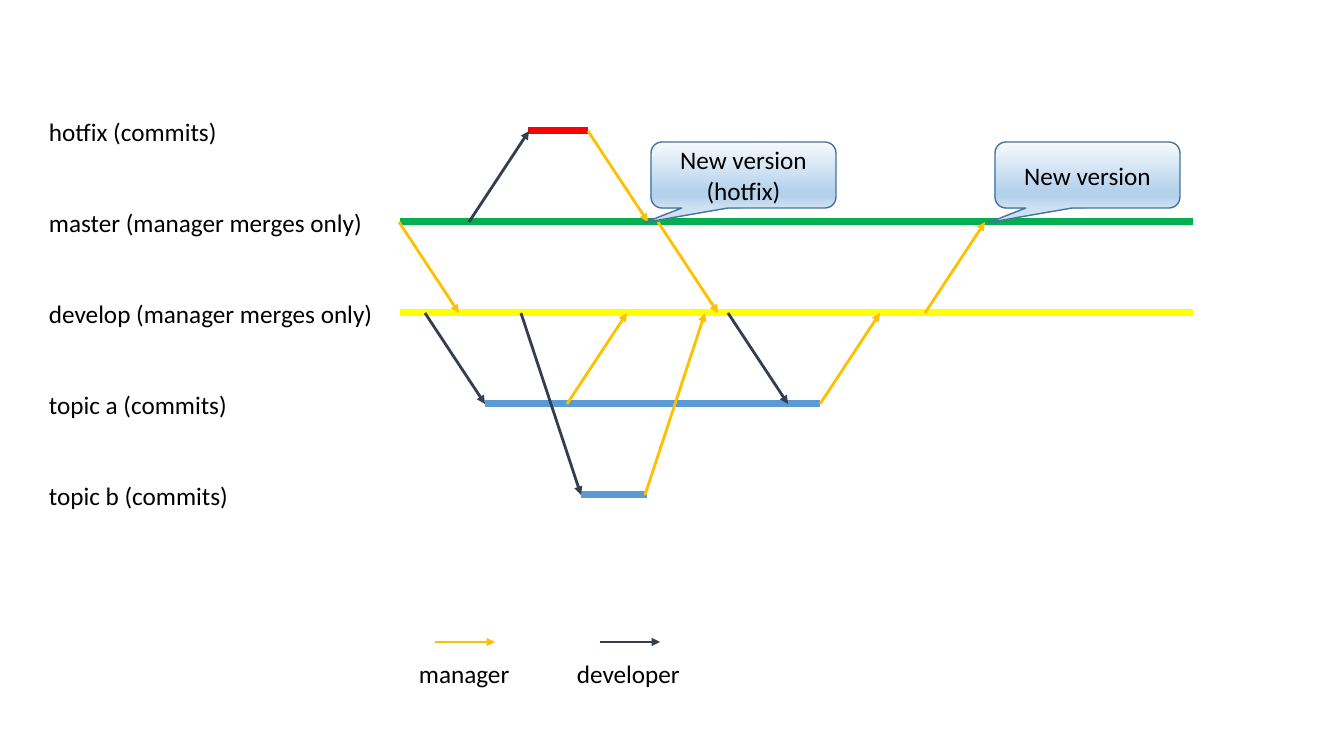
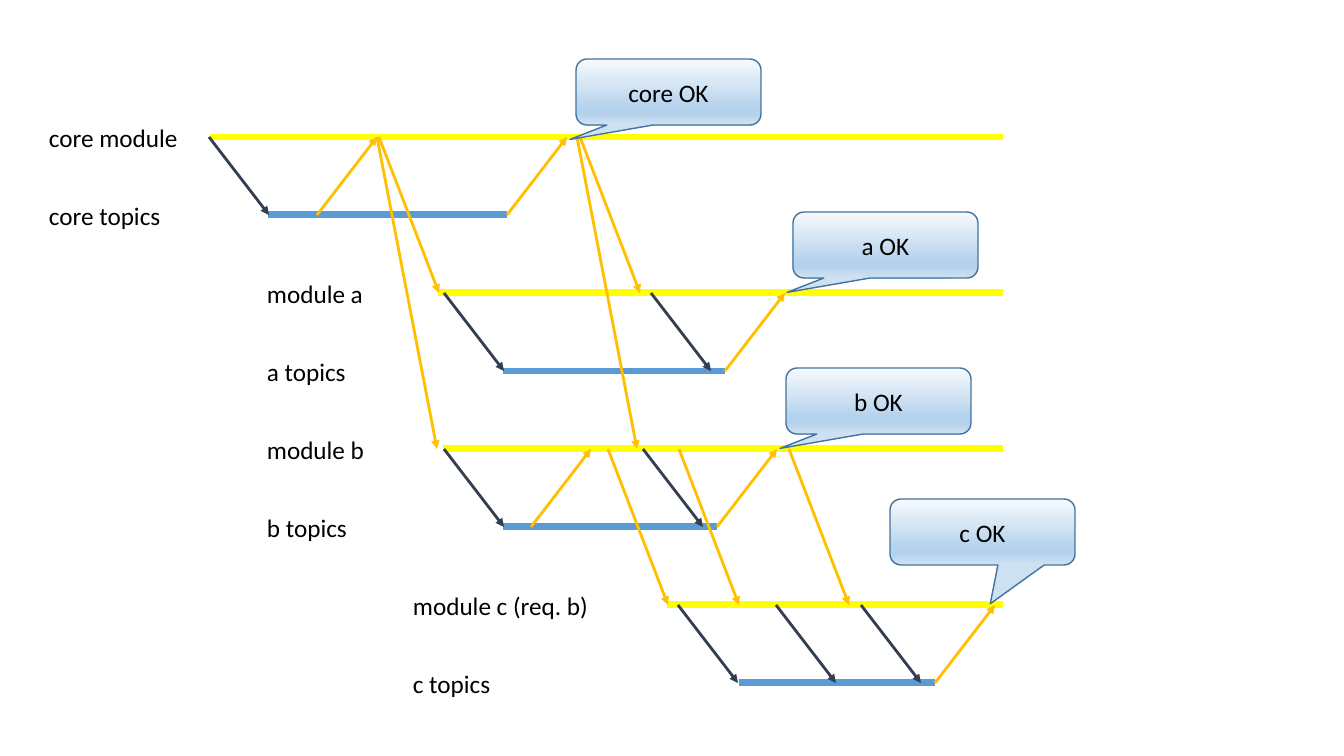
from copy import deepcopy

from pptx import Presentation, util as u
from pptx.dml.color import RGBColor
from pptx.enum import shapes, text
from pptx.oxml import ns, xmlchemy

PIXEL = u.Inches(10) // 1008
ARROW_RUN = 60
LEGEND_Y = 642
CALLOUT_WIDTH, CALLOUT_HEIGHT = 185, 66
LABEL_HEIGHT = 40
TIP_LEFT = (-0.532, 0.718, 0.167)
TIP_BELOW = (0.042, 1.088, 0.167)

GREEN, RED, YELLOW, BLUE = "00B050", "FF0000", "FFFF00", "5B9BD5"
MANAGER, DEVELOPER = "FFC000", "333F50"
TEXT_COLOUR, CALLOUT_LINE = "000000", "43739E"
CALLOUT_STOPS = [(0, "F7FAFD"), (0.74, "B5D2EC"), (0.83, "B5D2EC"), (1, "CEE1F2")]

# rows: label, label left, label width, line start, line end, colour
# arrows: role -> (start x, from row, to row)
# callouts: lines, left, top, tip
# legend: role, arrow left, label, label left, label width
DIAGRAMS = [
    {
        "first_row": 131,
        "row_gap": 91,
        "rows": [
            ("hotfix (commits)", 39, 191, 528, 588, RED),
            ("master (manager merges only)", 39, 337, 400, 1193, GREEN),
            ("develop (manager merges only)", 39, 348, 400, 1193, YELLOW),
            ("topic a (commits)", 39, 201, 485, 820, BLUE),
            ("topic b (commits)", 39, 202, 581, 647, BLUE),
        ],
        "arrows": {
            MANAGER: [(399, 1, 2), (588, 0, 1), (567, 3, 2), (645, 4, 2),
                      (820, 3, 2), (925, 2, 1), (658, 1, 2)],
            DEVELOPER: [(425, 2, 3), (521, 2, 4), (728, 2, 3), (469, 1, 0)],
        },
        "callouts": [
            (["New version", "(hotfix)"], 651, 142, TIP_LEFT),
            (["New version"], 995, 142, TIP_LEFT),
        ],
        "legend": [
            (MANAGER, 435, "manager", 409, 112),
            (DEVELOPER, 600, "developer", 567, 125),
        ],
    },
    {
        "first_row": 137,
        "row_gap": 78,
        "rows": [
            ("core module", 39, 156, 210, 1003, YELLOW),
            ("core topics", 39, 133, 268, 507, BLUE),
            ("module a", 257, 118, 438, 1003, YELLOW),
            ("a topics", 257, 100, 503, 725, BLUE),
            ("module b", 257, 119, 443, 1003, YELLOW),
            ("b topics", 257, 101, 503, 717, BLUE),
            ("module c (req. b)", 403, 198, 667, 1003, YELLOW),
            ("c topics", 403, 99, 739, 935, BLUE),
        ],
        "arrows": {
            MANAGER: [(379, 0, 2), (377, 0, 4), (608, 4, 6), (317, 1, 0),
                      (507, 1, 0), (580, 0, 2), (577, 0, 4), (531, 5, 4),
                      (717, 5, 4), (725, 3, 2), (789, 4, 6), (935, 7, 6),
                      (679, 4, 6)],
            DEVELOPER: [(209, 0, 1), (444, 2, 3), (444, 4, 5), (678, 6, 7),
                        (651, 2, 3), (643, 4, 5), (861, 6, 7), (776, 6, 7)],
        },
        "callouts": [
            (["core OK"], 576, 59, TIP_LEFT),
            (["a OK"], 793, 212, TIP_LEFT),
            (["b OK"], 786, 368, TIP_LEFT),
            (["c OK"], 890, 499, TIP_BELOW),
        ],
        "legend": [],
    },
]


def draw_line(slide, start, end, colour, points, arrow=False):
    """Draw a straight line between two pixel positions."""
    ends = [value * PIXEL for value in (*start, *end)]
    connector = slide.shapes.add_connector(shapes.MSO_CONNECTOR.STRAIGHT, *ends)
    connector.line.color.rgb = RGBColor.from_string(colour)
    connector.line.width = u.Pt(points)
    properties = connector._element.spPr
    properties.append(xmlchemy.OxmlElement("a:effectLst"))
    if arrow:
        head = xmlchemy.OxmlElement("a:tailEnd")
        head.set("type", "triangle")
        properties.find(ns.qn("a:ln")).append(head)


def write_lines(shape, lines, alignment):
    """Write one formatted paragraph for each line of text."""
    frame = shape.text_frame
    for index, line in enumerate(lines):
        paragraph = frame.add_paragraph() if index else frame.paragraphs[0]
        paragraph.alignment = alignment
        run = paragraph.add_run()
        run.text = line
        run.font.name = "Calibri"
        run.font.size = u.Pt(18)
        run.font.color.rgb = RGBColor.from_string(TEXT_COLOUR)


presentation = Presentation()
presentation.slide_width = 1344 * PIXEL
presentation.slide_height = 756 * PIXEL

for diagram in DIAGRAMS:
    slide = presentation.slides.add_slide(presentation.slide_layouts[6])
    row_y = [diagram["first_row"] + index * diagram["row_gap"]
             for index in range(len(diagram["rows"]))]
    labels = []

    for y, (label, left, width, start, end, colour) in zip(row_y, diagram["rows"]):
        draw_line(slide, (start, y), (end, y), colour, 5)
        labels.append((label, left, y - 20, width))

    for role, arrows in diagram["arrows"].items():
        for x, source, target in arrows:
            draw_line(slide, (x, row_y[source]), (x + ARROW_RUN, row_y[target]),
                      role, 2, arrow=True)

    for role, x, label, left, width in diagram["legend"]:
        draw_line(slide, (x, LEGEND_Y), (x + ARROW_RUN, LEGEND_Y), role, 2, arrow=True)
        labels.append((label, left, LEGEND_Y + 11, width))

    for label, left, top, width in labels:
        box = slide.shapes.add_textbox(left * PIXEL, top * PIXEL,
                                       width * PIXEL, LABEL_HEIGHT * PIXEL)
        box.text_frame.word_wrap = False
        box.text_frame.auto_size = text.MSO_AUTO_SIZE.SHAPE_TO_FIT_TEXT
        write_lines(box, [label], text.PP_ALIGN.LEFT)

    for lines, left, top, tip in diagram["callouts"]:
        callout = slide.shapes.add_shape(
            shapes.MSO_SHAPE.ROUNDED_RECTANGULAR_CALLOUT, left * PIXEL, top * PIXEL,
            CALLOUT_WIDTH * PIXEL, CALLOUT_HEIGHT * PIXEL)
        for index, value in enumerate(tip):
            callout.adjustments[index] = value
        callout.shadow.inherit = False
        callout.line.color.rgb = RGBColor.from_string(CALLOUT_LINE)
        callout.line.width = u.Pt(1)
        callout.fill.gradient()
        callout.fill.gradient_angle = 270
        stop_list = callout._element.spPr.find(".//" + ns.qn("a:gsLst"))
        while len(stop_list) < len(CALLOUT_STOPS):
            stop_list.append(deepcopy(stop_list[0]))
        for stop, (position, colour) in zip(callout.fill.gradient_stops, CALLOUT_STOPS):
            stop.position = position
            stop.color.rgb = RGBColor.from_string(colour)
        callout.text_frame.vertical_anchor = text.MSO_ANCHOR.MIDDLE
        write_lines(callout, lines, text.PP_ALIGN.CENTER)

presentation.save("out.pptx")
